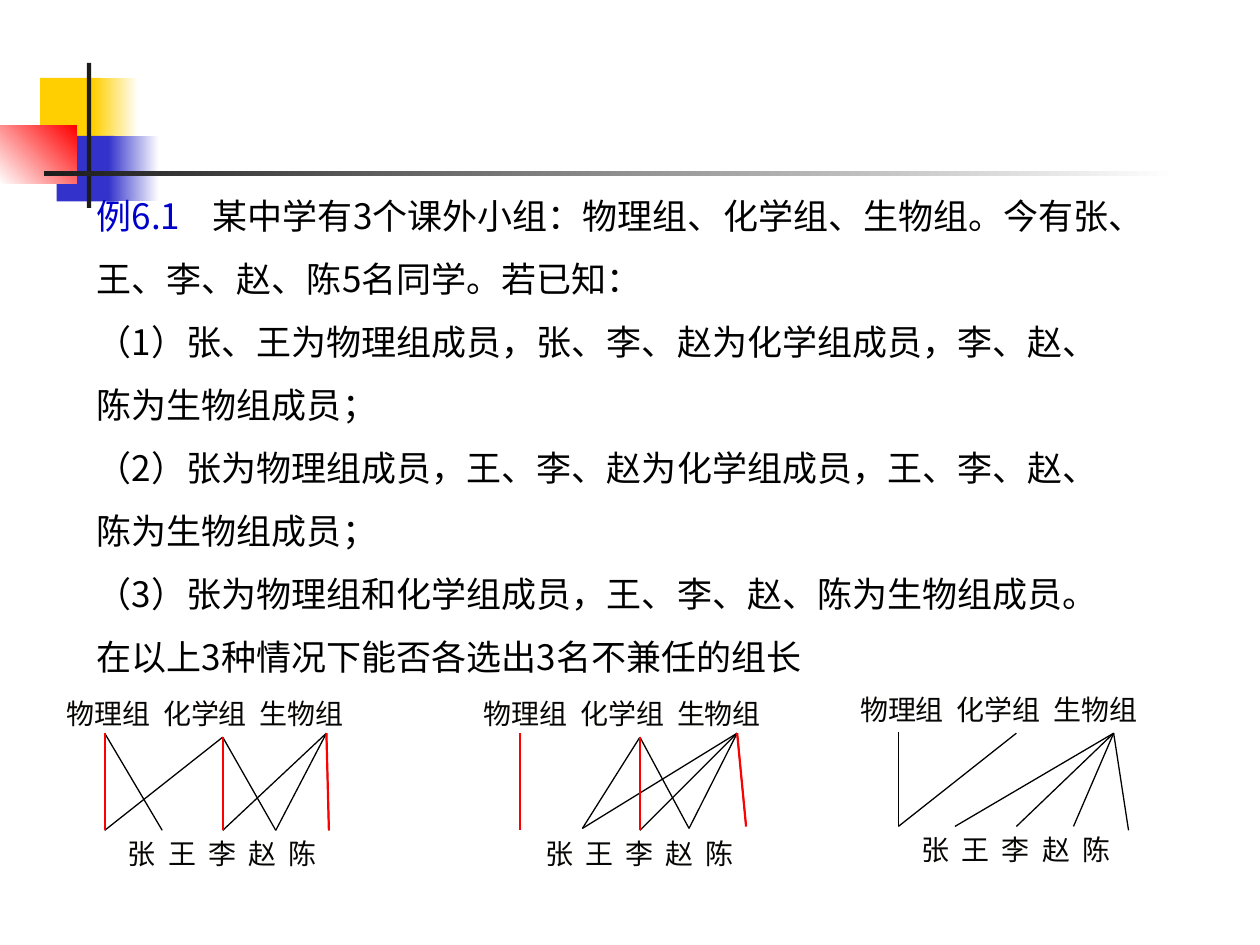
"""Build a slide on choosing group leaders, with three bipartite graphs."""
from lxml import etree
from pptx import Presentation
from pptx.dml.color import RGBColor
from pptx.enum.shapes import MSO_CONNECTOR, MSO_SHAPE
from pptx.oxml.ns import qn
from pptx.util import Cm, Pt

RECTANGLE = MSO_SHAPE.RECTANGLE
STRAIGHT = MSO_CONNECTOR.STRAIGHT
FONT = "Noto Sans CJK SC"
COLORS = {
    "yellow": "FFCF01", "blue": "3333CC", "red": "FF0000", "white": "FFFFFF",
    "charcoal": "1C1C1C", "heading": "0000CC", "black": "000000", "label": "070605",
}


def color(name):
    return RGBColor.from_string(COLORS[name])


def write_text(page, bounds, lines, size, ink, tab_stops, spacing=1.0):
    box = page.shapes.add_textbox(*map(Cm, bounds))
    frame = box.text_frame
    frame.word_wrap = True
    for index, line in enumerate(lines):
        para = frame.paragraphs[0] if index == 0 else frame.add_paragraph()
        para.line_spacing = spacing
        tab_list = etree.SubElement(para._p.get_or_add_pPr(), qn("a:tabLst"))
        for stop in tab_stops:
            etree.SubElement(tab_list, qn("a:tab"), pos=str(Cm(stop)), algn="l")
        para.font.size = Pt(size)
        para.font.name = FONT
        para.font.color.rgb = color(ink)
        etree.SubElement(para.font._rPr, qn("a:ea"), typeface=FONT)
        for text in line:
            para.add_run().text = text
    return box


deck = Presentation()
deck.slide_width, deck.slide_height = Cm(25.4), Cm(19.05)
page = deck.slides.add_slide(deck.slide_layouts[6])

ornaments = [
    ((0.81, 1.57, 1.22, 1.32), "yellow", None, 0),
    ((1.88, 1.57, 0.91, 1.32), "yellow", "white", 0),
    ((1.14, 2.74, 1.17, 1.32), "blue", None, 0),
    ((2.18, 2.74, 1.02, 1.32), "blue", "white", 0),
    ((0, 2.54, 1.55, 1.17), "white", "red", 45),
    ((1.75, 1.27, 0.09, 2.92), "charcoal", None, 0),
    ((0.89, 3.45, 22.86, 0.09), "charcoal", "white", 0),
]
for bounds, start, end, angle in ornaments:
    ornament = page.shapes.add_shape(RECTANGLE, *map(Cm, bounds))
    ornament.shadow.inherit = False
    ornament.line.fill.background()
    if end is None:
        ornament.fill.solid()
        ornament.fill.fore_color.rgb = color(start)
    else:
        ornament.fill.gradient()
        ornament.fill.gradient_angle = angle
        for stop, position, name in zip(ornament.fill.gradient_stops, (0, 1), (start, end)):
            stop.position = position
            stop.color.rgb = color(name)

problem = [
    ["例6.1", "\t某中学有3个课外小组：物理组、化学组、生物组。今有张、王、李、赵、陈5名同学。若已知："],
    ["（1）张、王为物理组成员，张、李、赵为化学组成员，李、赵、陈为生物组成员；"],
    ["（2）张为物理组成员，王、李、赵为化学组成员，王、李、赵、陈为生物组成员；"],
    ["（3）张为物理组和化学组成员，王、李、赵、陈为生物组成员。"],
    ["在以上3种情况下能否各选出3名不兼任的组长"],
]
problem_box = write_text(page, (1.7, 3.38, 21.11, 10.41), problem, 20, "black", [2.34], 1.5)
problem_box.text_frame.paragraphs[0].runs[0].font.color.rgb = color("heading")

leaders = [(0, 0), (1, 2), (2, 4)]
graphs = [
    {"origin": (1.09, 13.92),
     "groups": [(1.02, 0.86), (3.4, 0.94), (5.49, 0.86)],
     "students": [(1.02, 2.82), (2.18, 2.82), (3.4, 2.82), (4.47, 2.82), (5.54, 2.82)],
     "members": [(0, 0), (0, 1), (1, 0), (1, 2), (1, 3), (2, 2), (2, 3), (2, 4)],
     "leaders": leaders},
    {"origin": (9.5, 13.92),
     "groups": [(0.99, 0.86), (3.4, 0.94), (5.36, 0.86)],
     "students": [(0.99, 2.82), (2.24, 2.78), (3.4, 2.82), (4.39, 2.78), (5.54, 2.74)],
     "members": [(0, 0), (1, 1), (1, 2), (1, 3), (2, 1), (2, 2), (2, 3), (2, 4)],
     "leaders": leaders},
    {"origin": (17.09, 13.84),
     "groups": [(1.02, 0.91), (3.4, 0.94), (5.36, 0.94)],
     "students": [(1.02, 2.82), (2.16, 2.82), (3.4, 2.82), (4.55, 2.82), (5.66, 2.9)],
     "members": [(0, 0), (1, 0), (2, 1), (2, 2), (2, 3), (2, 4)],
     "leaders": []},
]
group_names = "\t".join(["物理组", "化学组", "生物组"])
student_names = "\t".join("张王李赵陈")
group_stops = [1.95 * step for step in (1, 2)]
student_stops = [0.81 * step for step in (1, 2, 3, 4)]

for graph in graphs:
    left, top = graph["origin"]
    write_text(page, (left, top, 6.81, 0.94), [[group_names]], 16, "label", group_stops)
    student_box = write_text(page, (left + 1.24, top + 2.82, 4.32, 0.94),
                             [[student_names]], 16, "label", student_stops)
    student_box.text_frame.margin_right = 0
    for edges, ink, width in (("members", "black", 0.75), ("leaders", "red", 1.25)):
        for group, student in graph[edges]:
            x1, y1 = graph["groups"][group]
            x2, y2 = graph["students"][student]
            edge = page.shapes.add_connector(
                STRAIGHT, Cm(left + x1), Cm(top + y1), Cm(left + x2), Cm(top + y2))
            edge.line.color.rgb = color(ink)
            edge.line.width = Pt(width)
            etree.SubElement(edge._element.spPr, qn("a:effectLst"))

deck.save("out.pptx")
